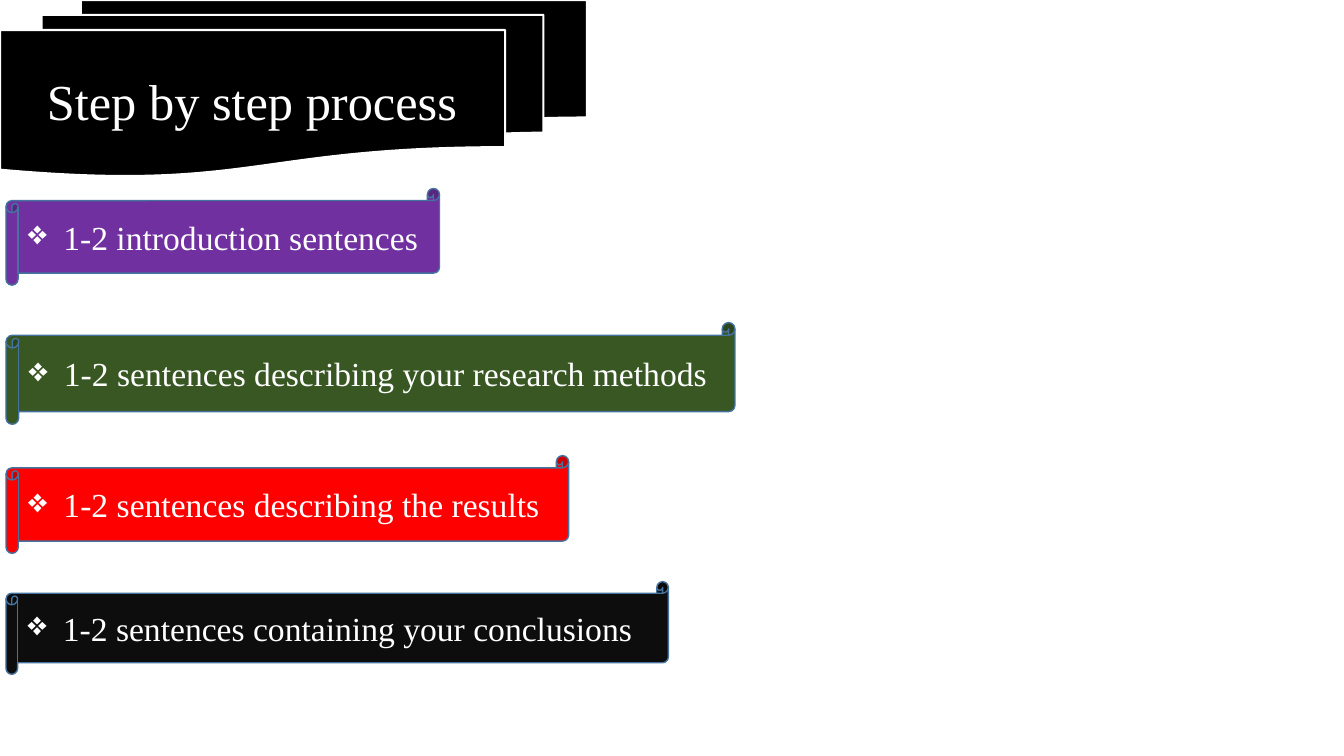
from lxml import etree
from pptx import Presentation
from pptx.dml.color import RGBColor
from pptx.enum import shapes, text
from pptx.oxml.ns import qn
from pptx.util import Inches, Pt

# Content: text, fill, top, width, height
TITLE = "Step by step process"
STEPS = [
    ("1-2 introduction sentences", "purple", 1.87, 4.3, 0.96),
    ("1-2 sentences describing your research methods", "green", 3.2, 7.23, 1.01),
    ("1-2 sentences describing the results", "red", 4.52, 5.58, 0.97),
    ("1-2 sentences containing your conclusions", "charcoal", 5.77, 6.57, 0.92),
]
COLORS = {
    "black": "000000", "white": "FFFFFF", "outline": "43739E",
    "purple": "7030A0", "green": "385723", "red": "FF0000", "charcoal": "0D0D0D",
}
STEP_LEFT = 0.06
BULLET_INDENT = Inches(0.35)


def color(name):
    return RGBColor.from_string(COLORS[name])


def add_panel(slide, kind, box, fill, line, line_width):
    shape = slide.shapes.add_shape(kind, *map(Inches, box))
    shape.shadow.inherit = False
    shape.fill.solid()
    shape.fill.fore_color.rgb = color(fill)
    shape.line.color.rgb = color(line)
    shape.line.width = Pt(line_width)
    return shape


def add_bullet(paragraph):
    properties = paragraph._p.get_or_add_pPr()
    properties.set("marL", str(BULLET_INDENT))
    properties.set("indent", str(-BULLET_INDENT))
    etree.SubElement(properties, qn("a:buChar")).set("char", "❖")


def write_text(shape, words, size, alignment, bullet=False, **frame_format):
    frame = shape.text_frame
    frame_format.update(word_wrap=True, vertical_anchor=text.MSO_ANCHOR.MIDDLE,
                        auto_size=text.MSO_AUTO_SIZE.NONE)
    for name, value in frame_format.items():
        setattr(frame, name, value)
    paragraph = frame.paragraphs[0]
    paragraph.text = words
    paragraph.alignment = alignment
    if bullet:
        add_bullet(paragraph)
    for name, value in {"name": "Times New Roman", "size": Pt(size)}.items():
        setattr(paragraph.font, name, value)
    paragraph.font.color.rgb = color("white")


def main():
    presentation = Presentation()
    presentation.slide_width = Inches(13.33)
    presentation.slide_height = Inches(7.5)
    slide = presentation.slides.add_slide(presentation.slide_layouts[5])

    # Title on the stacked pages
    pages = add_panel(slide, shapes.MSO_SHAPE.FLOWCHART_MULTIDOCUMENT,
                      (0, 0, 5.82, 1.75), "black", "white", 1.5)
    title = slide.shapes.title
    pages._element.addnext(title._element)
    title.left, title.top, title.width, title.height = map(Inches, (0, 0.3, 5, 1.4))
    write_text(title, TITLE, 36, text.PP_ALIGN.CENTER)

    # One scroll per step
    for words, fill, top, width, height in STEPS:
        scroll = add_panel(slide, shapes.MSO_SHAPE.HORIZONTAL_SCROLL,
                           (STEP_LEFT, top, width, height), fill, "outline", 1)
        write_text(scroll, words, 24, text.PP_ALIGN.LEFT, bullet=True, margin_right=0)

    presentation.save("out.pptx")


if __name__ == "__main__":
    main()
